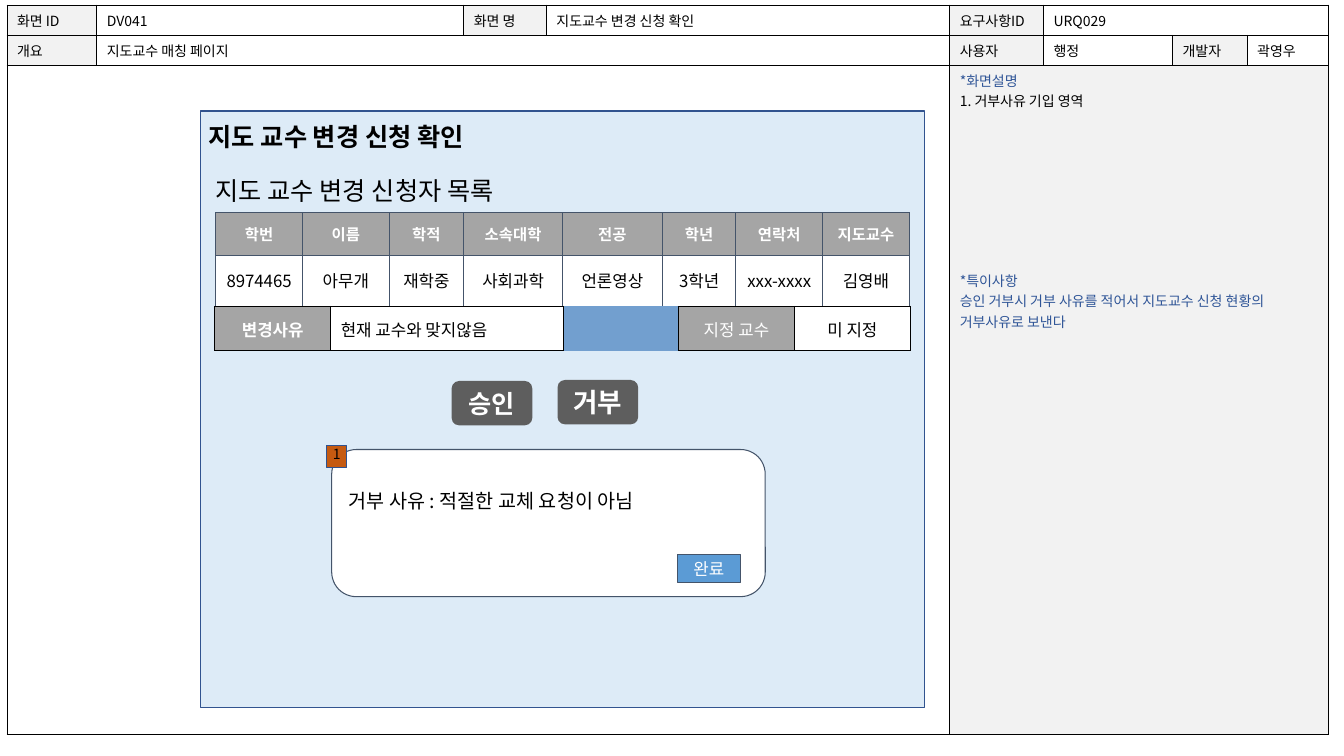
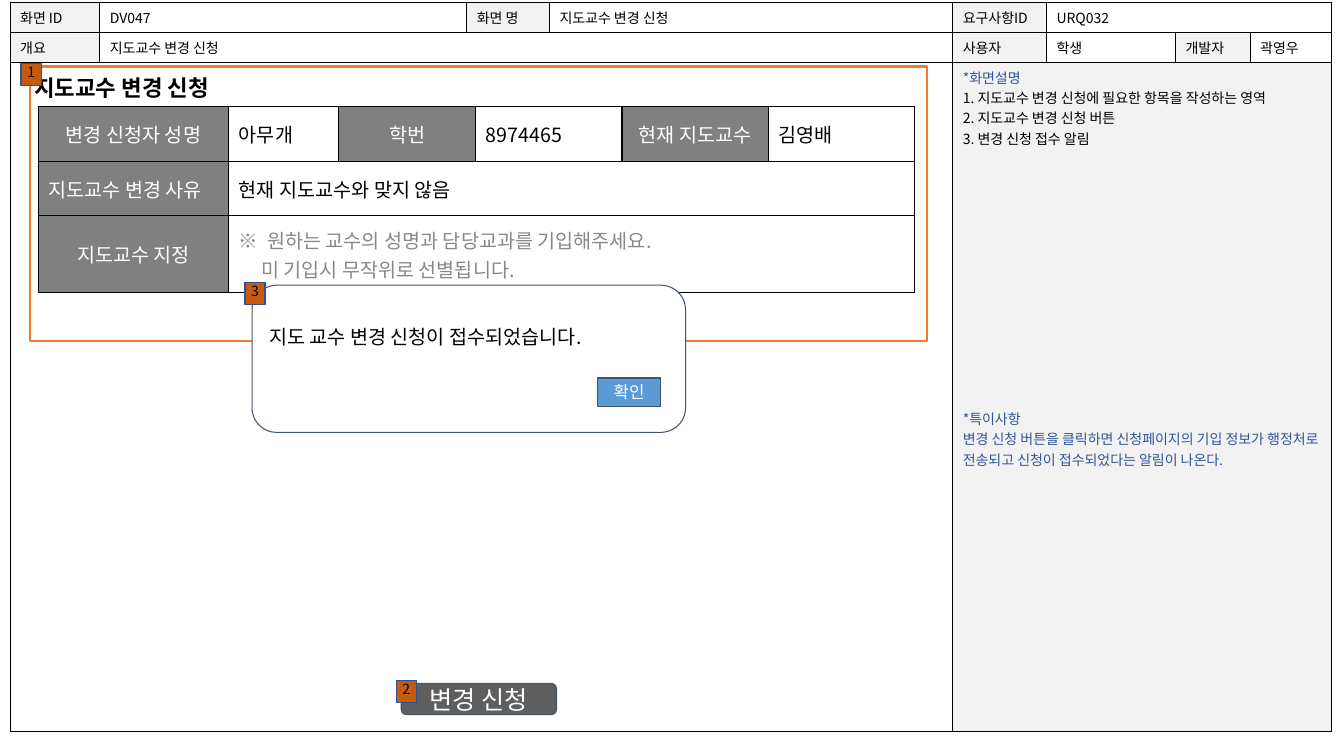
from dataclasses import dataclass

from lxml import etree
from pptx import Presentation
from pptx import util as u
from pptx.dml.color import RGBColor
from pptx.enum import shapes, text
from pptx.oxml import ns

CENTER = text.PP_ALIGN.CENTER
LEFT = text.PP_ALIGN.LEFT
MIDDLE = text.MSO_ANCHOR.MIDDLE
TOP = text.MSO_ANCHOR.TOP
RECTANGLE = shapes.MSO_SHAPE.RECTANGLE
ROUNDED = shapes.MSO_SHAPE.ROUNDED_RECTANGLE


@dataclass(frozen=True)
class Theme:
    font: str = "Noto Sans CJK KR"
    black: str = "000000"
    white: str = "FFFFFF"
    label: str = "F2F2F2"
    note: str = "2F5597"
    slate: str = "44546A"
    panel: str = "DDEBF7"
    panel_line: str = "31538F"
    column_head: str = "A5A5A5"
    form_head: str = "808080"
    hint: str = "888888"
    gap: str = "729FCF"
    dark_button: str = "5E5E5E"
    blue_button: str = "5B9BD5"
    badge: str = "C55A11"
    badge_line: str = "2F528F"
    frame: str = "ED7D31"
    small: int = 10
    column: int = 11
    body: int = 12
    form: int = 14
    subtitle: int = 16
    title: int = 18
    large: int = 19


THEME = Theme()


@dataclass(frozen=True)
class Line:
    content: str
    size: int = THEME.small
    color: str = THEME.black
    bold: bool = False
    align: text.PP_ALIGN = LEFT
    before: int = 0
    margin: int = 0
    hanging: int = 0


@dataclass(frozen=True)
class Cell:
    lines: tuple = ()
    fill: str = THEME.white
    span: int = 1
    closed: bool = True


def px(length):
    """Convert px, 100 to the inch, into EMU."""
    return u.Emu(length * 9144)


def rgb(color):
    return RGBColor.from_string(color)


def write(frame, lines):
    frame.word_wrap = True
    for index, line in enumerate(lines):
        paragraph = frame.add_paragraph() if index else frame.paragraphs[0]
        paragraph.alignment = line.align
        if line.before:
            paragraph.space_before = u.Pt(line.before)
        if line.margin:
            properties = paragraph._p.get_or_add_pPr()
            properties.set("marL", str(px(line.margin)))
            properties.set("indent", str(px(-line.hanging)))
        run = paragraph.add_run()
        run.text = line.content
        font = run.font
        font.name = THEME.font
        font.size = u.Pt(line.size)
        font.bold = line.bold
        font.color.rgb = rgb(line.color)
        east_asian = etree.SubElement(run._r.get_or_add_rPr(), ns.qn("a:ea"))
        east_asian.set("typeface", THEME.font)


def set_insets(holder, horizontal, vertical):
    holder.margin_left = holder.margin_right = px(horizontal)
    holder.margin_top = holder.margin_bottom = px(vertical)


def add_box(parent, kind, box, fill=None, line=None, width=0.75, lines=(),
            anchor=MIDDLE, inset=10):
    shape = parent.shapes.add_shape(kind, *map(px, box))
    shape.shadow.inherit = False
    if fill:
        shape.fill.solid()
        shape.fill.fore_color.rgb = rgb(fill)
    else:
        shape.fill.background()
    if line:
        shape.line.color.rgb = rgb(line)
        shape.line.width = u.Pt(width)
    else:
        shape.line.fill.background()
    if lines:
        frame = shape.text_frame
        set_insets(frame, inset, inset)
        frame.vertical_anchor = anchor
        write(frame, lines)
    return shape


def add_heading(slide, box, line):
    frame = slide.shapes.add_textbox(*map(px, box)).text_frame
    set_insets(frame, 0, 0)
    frame.vertical_anchor = MIDDLE
    write(frame, [line])


def set_borders(cell, color, width, closed):
    """Draw the cell's sides; an open cell has no top and bottom."""
    properties = cell._tc.get_or_add_tcPr()
    for side in "LRTB":
        border = etree.SubElement(properties, ns.qn(f"a:ln{side}"), w=str(u.Pt(width)))
        if closed or side in "LR":
            solid = etree.SubElement(border, ns.qn("a:solidFill"))
            etree.SubElement(solid, ns.qn("a:srgbClr"), val=color)
        else:
            etree.SubElement(border, ns.qn("a:noFill"))


def add_table(slide, left, top, columns, heights, rows, border=THEME.black,
              width=0.75, anchor=MIDDLE, vertical_inset=10):
    table = slide.shapes.add_table(
        len(heights), len(columns), px(left), px(top),
        px(sum(columns)), px(sum(heights))).table
    table.first_row = table.horz_banding = False
    for column, size in zip(table.columns, columns):
        column.width = px(size)
    for row, size in zip(table.rows, heights):
        row.height = px(size)
    for r, cells in enumerate(rows):
        c = 0
        for content in cells:
            first = table.cell(r, c)
            for offset in range(content.span):
                cell = table.cell(r, c + offset)
                set_borders(cell, border, width, content.closed)
                cell.fill.solid()
                cell.fill.fore_color.rgb = rgb(content.fill)
            if content.span > 1:
                first.merge(table.cell(r, c + content.span - 1))
            if content.lines:
                set_insets(first, 10, vertical_inset)
                first.vertical_anchor = anchor
                write(first.text_frame, content.lines)
            c += content.span


def text_cell(content, size, fill=THEME.white, color=THEME.black, bold=False,
              align=LEFT, span=1):
    return Cell((Line(content, size, color, bold, align),), fill, span)


def add_sheet(slide, left, top, screen, name, request, summary, user, items,
              gap, remark):
    """Draw the specification grid with its description column."""
    def label(content):
        return text_cell(content, THEME.small, THEME.label)

    def value(content, span=1):
        return text_cell(content, THEME.small, span=span)

    notes = (
        Line("*화면설명", color=THEME.note),
        *items,
        Line("*특이사항", color=THEME.note, before=gap),
        Line(remark, color=THEME.note),
    )
    rows = [
        [label("화면 ID"), value(screen), label("화면 명"), value(name),
         label("요구사항ID"), value(request, 3)],
        [label("개요"), value(summary, 3), label("사용자"), value(user),
         label("개발자"), value("곽영우")],
        [Cell(span=4), Cell(notes, THEME.label, 4)],
    ]
    add_table(slide, left, top, [89, 364, 82, 400, 93, 128, 74, 81],
              [30, 30, 664], rows, anchor=TOP, vertical_inset=5)


def add_button(slide, box, content, size, bold=True, line=None):
    add_box(slide, ROUNDED, box, THEME.dark_button, line,
            lines=[Line(content, size, THEME.white, bold, CENTER)])


def add_badge(slide, left, top, number):
    add_box(slide, RECTANGLE, (left, top, 20, 22), THEME.badge,
            THEME.badge_line, 1, [Line(str(number), align=CENTER)], TOP, 0)


def add_popup(slide, left, top, message, button, button_top):
    group = slide.shapes.add_group_shape()
    panel = add_box(group, ROUNDED, (left, top, 430, 146), THEME.white,
                    THEME.slate, lines=[Line(message, THEME.form)], anchor=TOP)
    panel.text_frame.margin_top = px(32)
    add_box(group, RECTANGLE, (left + 343, top + button_top, 62, 28),
            THEME.blue_button, THEME.slate,
            lines=[Line(button, THEME.body, THEME.white, align=CENTER)])


def build_review(slide):
    add_sheet(slide, 7, 5, "DV041", "지도교수 변경 신청 확인", "URQ029",
              "지도교수 매칭 페이지", "행정", [Line("1. 거부사유 기입 영역")], 114,
              "승인 거부시 거부 사유를 적어서 지도교수 신청 현황의 거부사유로 보낸다")
    add_box(slide, RECTANGLE, (199, 110, 718, 592), THEME.panel,
            THEME.panel_line, 1)
    add_heading(slide, (207, 115, 311, 41),
                Line("지도 교수 변경 신청 확인", THEME.title, bold=True))

    heads = ["학번", "이름", "학적", "소속대학", "전공", "학년", "연락처", "지도교수"]
    values = ["8974465", "아무개", "재학중", "사회과학", "언론영상", "3학년",
              "xxx-xxxx", "김영배"]
    add_table(slide, 214, 211, [86, 86, 74, 98, 99, 73, 86, 86], [42, 51], [
        [text_cell(head, THEME.column, THEME.column_head, THEME.white, True, CENTER)
         for head in heads],
        [text_cell(value, THEME.body, align=CENTER) for value in values],
    ], THEME.slate)
    add_heading(slide, (214, 168, 330, 41),
                Line("지도 교수 변경 신청자 목록", THEME.title))
    add_table(slide, 213, 304, [115, 231, 114, 115, 115], [44], [[
        text_cell("변경사유", THEME.body, THEME.column_head, THEME.white, True, CENTER),
        text_cell("현재 교수와 맞지않음", THEME.body),
        Cell(fill=THEME.gap, closed=False),
        text_cell("지정 교수", THEME.body, THEME.column_head, THEME.white, align=CENTER),
        text_cell("미 지정", THEME.body, align=CENTER),
    ]], width=1)

    add_button(slide, (448, 378, 80, 44), "승인", THEME.title)
    add_button(slide, (553, 377, 80, 44), "거부", THEME.large)
    add_popup(slide, 329, 446, "거부 사유 : 적절한 교체 요청이 아님", "완료", 104)
    add_badge(slide, 324, 442, 1)


def build_request(slide):
    items = ["지도교수 변경 신청에 필요한 항목을 작성하는 영역",
             "지도교수 변경 신청 버튼", "변경 신청 접수 알림"]
    add_sheet(slide, 10, 2, "DV047", "지도교수 변경 신청", "URQ032",
              "지도교수 변경 신청", "학생",
              [Line(f"{number}. {item}", margin=25, hanging=25)
               for number, item in enumerate(items, 1)], 186,
              "변경 신청 버튼을 클릭하면 신청페이지의 기입 정보가 행정처로 "
              "전송되고 신청이 접수되었다는 알림이 나온다.")

    def head(content, align=CENTER):
        return text_cell(content, THEME.form, THEME.form_head, THEME.white, align=align)

    def value(content, span=1):
        return text_cell(content, THEME.form, span=span)

    hints = (
        Line("※\t원하는 교수의 성명과 담당교과를 기입해주세요.", THEME.form,
             THEME.hint, margin=28, hanging=28),
        Line("미 기입시 무작위로 선별됩니다.", THEME.form, THEME.hint, margin=22),
    )
    add_table(slide, 38, 106, [189, 109, 136, 145, 145, 145], [54, 54, 76], [
        [head("변경 신청자 성명"), value("아무개"), head("학번"), value("8974465"),
         head("현재 지도교수"), value("김영배")],
        [head("지도교수 변경 사유", LEFT), value("현재 지도교수와 맞지 않음", 5)],
        [head("지도교수 지정"), Cell(hints, span=5)],
    ], width=1)
    add_heading(slide, (34, 66, 205, 41),
                Line("지도교수 변경 신청", THEME.subtitle, bold=True))
    add_button(slide, (398, 678, 154, 31), "변경 신청", THEME.title, False, THEME.slate)
    add_box(slide, RECTANGLE, (30, 66, 889, 272), line=THEME.frame, width=1.5)
    add_badge(slide, 21, 63, 1)
    add_badge(slide, 393, 675, 2)
    add_popup(slide, 250, 283, "지도 교수 변경 신청이 접수되었습니다.", "확인", 92)
    add_badge(slide, 243, 280, 3)


def main():
    presentation = Presentation()
    presentation.slide_width = px(1333)
    presentation.slide_height = px(750)
    blank = presentation.slide_layouts[6]
    for build in (build_review, build_request):
        build(presentation.slides.add_slide(blank))
    presentation.save("out.pptx")


if __name__ == "__main__":
    main()
